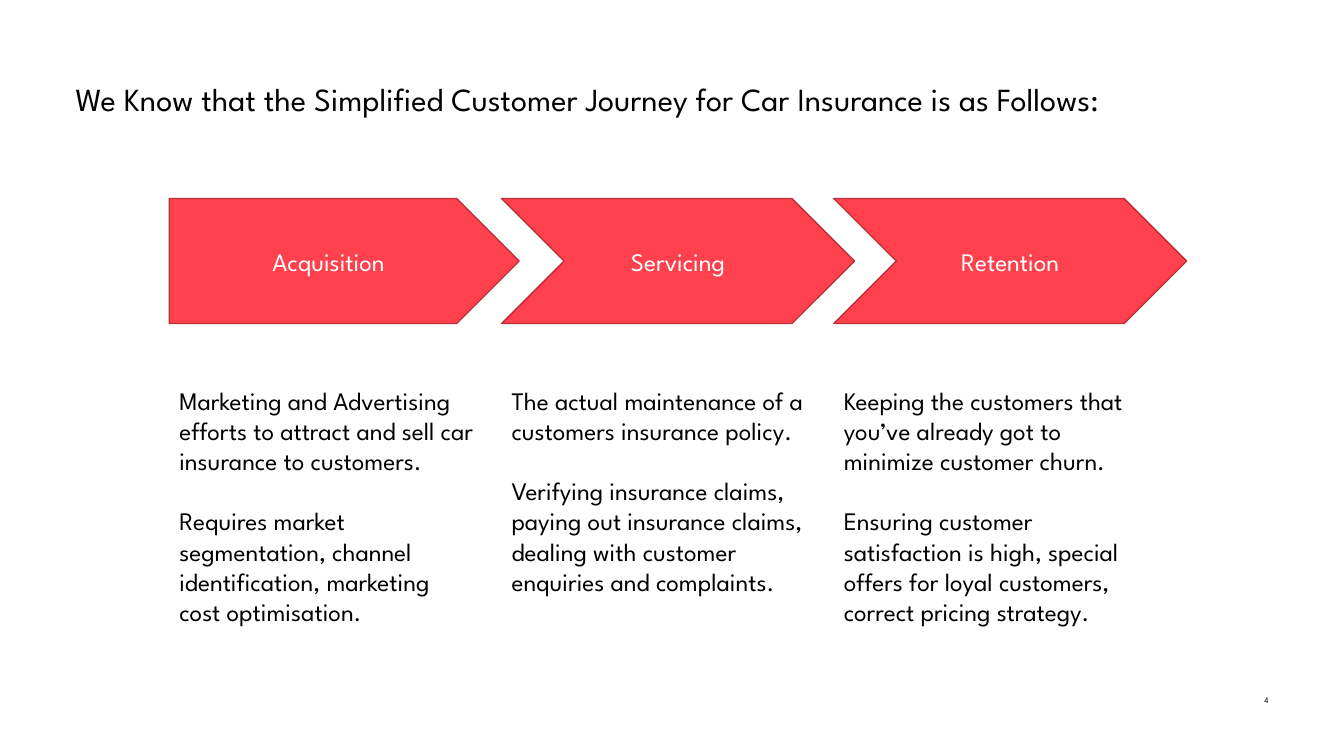
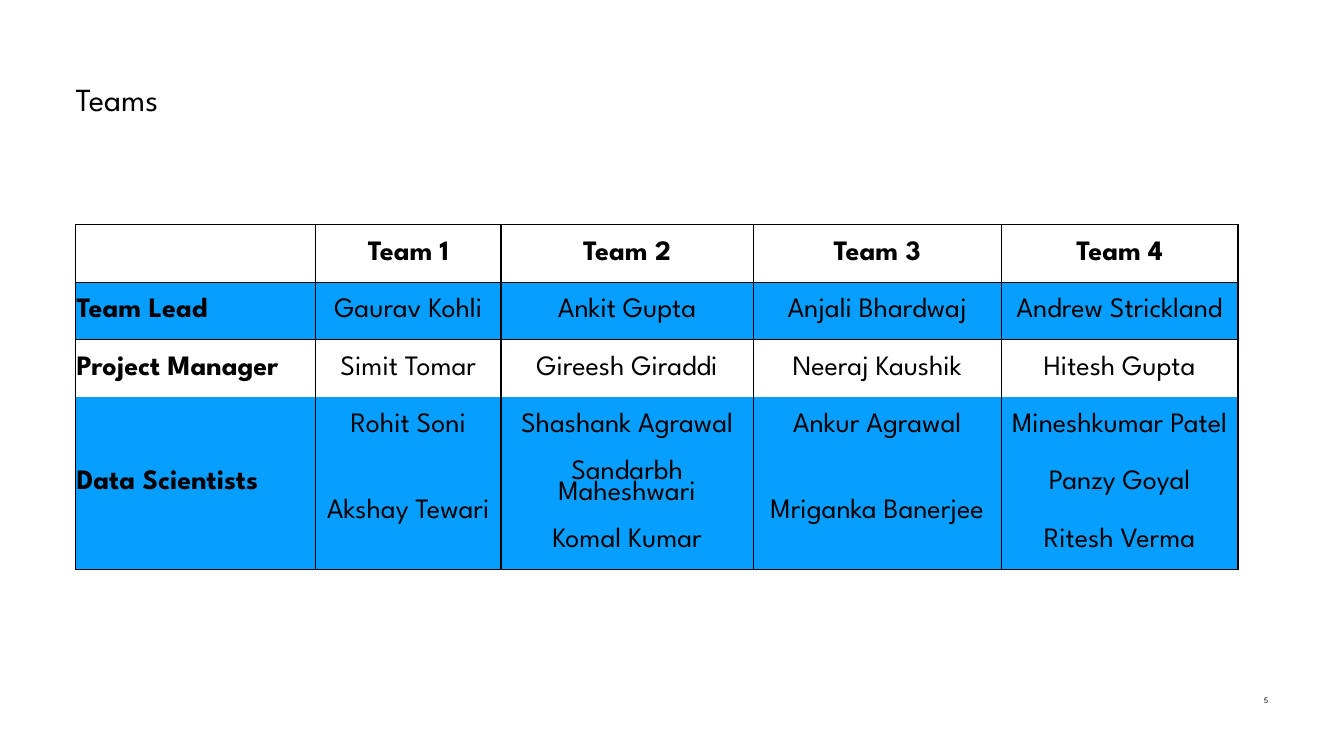
import pptx
import pptx.dml.color
import pptx.enum.shapes
import pptx.enum.text
import pptx.oxml
import pptx.oxml.ns
import pptx.util
from pptx.util import Inches

FONT = "League Spartan"
BLACK, WHITE = "000000", "FFFFFF"
RED, DARK_RED, BLUE = "FE414D", "BC3039", "079FFF"
LEFT = pptx.enum.text.PP_ALIGN.LEFT
CENTER = pptx.enum.text.PP_ALIGN.CENTER
RIGHT = pptx.enum.text.PP_ALIGN.RIGHT
MIDDLE = pptx.enum.text.MSO_ANCHOR.MIDDLE
HOME_PLATE = pptx.enum.shapes.MSO_SHAPE.PENTAGON
CHEVRON = pptx.enum.shapes.MSO_SHAPE.CHEVRON

STEP_LEFT, STEP_PITCH = 1.68, 3.295
STEPS = [
    ("Acquisition", HOME_PLATE, 3.47, [
        "Marketing and Advertising efforts to attract and sell car insurance to customers.",
        "Requires market segmentation, channel identification, marketing cost optimisation."]),
    ("Servicing", CHEVRON, 3.5, [
        "The actual maintenance of a customers insurance policy.",
        "Verifying insurance claims, paying out insurance claims, "
        "dealing with customer enquiries and complaints."]),
    ("Retention", CHEVRON, 3.5, [
        "Keeping the customers that you’ve already got to minimize customer churn.",
        "Ensuring customer satisfaction is high, special offers for loyal customers, "
        "correct pricing strategy."]),
]

COLUMN_WIDTHS = [2.38, 1.84, 2.5, 2.46, 2.35]
ROW_HEIGHT = 0.57
TEAMS = [
    ["", "Team 1", "Team 2", "Team 3", "Team 4"],
    ["Team Lead", "Gaurav Kohli", "Ankit Gupta", "Anjali Bhardwaj", "Andrew Strickland"],
    ["Project Manager", "Simit Tomar", "Gireesh Giraddi", "Neeraj Kaushik", "Hitesh Gupta"],
    ["Data Scientists", "Rohit Soni", "Shashank Agrawal", "Ankur Agrawal", "Mineshkumar Patel"],
    ["", "Akshay Tewari", "Sandarbh Maheshwari", "Mriganka Banerjee", "Panzy Goyal"],
    ["", "", "Komal Kumar", "", "Ritesh Verma"],
]
BLUE_ROWS = {1, 3, 4, 5}
RULED_EDGES = {0, 1, 2, 3, 6} - {3}
ROW_SPANS = {(3, 0): 3, (4, 1): 2, (4, 3): 2}


def color(value):
    return pptx.dml.color.RGBColor.from_string(value)


def write(frame, texts, size, ink=BLACK, align=LEFT, bold=False, spacing=None, gap=0):
    """Fill a text frame, one paragraph per text, with gap points between them."""
    for index, text in enumerate(texts):
        para = frame.add_paragraph() if index else frame.paragraphs[0]
        para.text = text
        para.alignment = align
        if spacing:
            para.line_spacing = spacing
        if index:
            para.space_before = pptx.util.Pt(gap)
        para.font.name = FONT
        para.font.size = pptx.util.Pt(size)
        para.font.bold = bold
        para.font.color.rgb = color(ink)


def add_text(page, place, texts, size, inset=True, anchor=None, **style):
    box = page.shapes.add_textbox(*map(Inches, place))
    frame = box.text_frame
    frame.word_wrap = True
    if anchor is not None:
        frame.vertical_anchor = anchor
    if not inset:
        frame.margin_left = frame.margin_right = 0
        frame.margin_top = frame.margin_bottom = 0
    write(frame, texts, size, **style)


def add_page(deck, title, number):
    page = deck.slides.add_slide(deck.slide_layouts[6])
    add_text(page, (0.75, 0.75, 11.83, 0.82), [title], 23, inset=False, spacing=1.1)
    add_text(page, (12.28, 6.9, 0.3, 0.1), [str(number)], 6, inset=False,
             anchor=MIDDLE, align=RIGHT)
    return page


def add_arrow(page, kind, place, label):
    arrow = page.shapes.add_shape(kind, *map(Inches, place))
    arrow.shadow.inherit = False
    arrow.fill.solid()
    arrow.fill.fore_color.rgb = color(RED)
    arrow.line.color.rgb = color(DARK_RED)
    arrow.line.width = pptx.util.Pt(1)
    arrow.text_frame.vertical_anchor = MIDDLE
    write(arrow.text_frame, [label], 18, ink=WHITE, align=CENTER)


def set_borders(cell, top, bottom):
    """Rule both sides of a cell, and its top and bottom where asked."""
    for side, ruled in (("L", True), ("R", True), ("T", top), ("B", bottom)):
        paint = f'<a:solidFill><a:srgbClr val="{BLACK}"/></a:solidFill>' if ruled else "<a:noFill/>"
        cell._tc.get_or_add_tcPr().append(pptx.oxml.parse_xml(
            f'<a:ln{side} {pptx.oxml.ns.nsdecls("a")} w="12700">{paint}</a:ln{side}>'))


def style_cell(cell, row, column):
    last_edge = row + ROW_SPANS.get((row, column), 1)
    set_borders(cell, row in RULED_EDGES, last_edge in RULED_EDGES)
    if row in BLUE_ROWS:
        cell.fill.solid()
        cell.fill.fore_color.rgb = color(BLUE)
    else:
        cell.fill.background()
    cell.vertical_anchor = MIDDLE
    cell.margin_left = cell.margin_right = cell.margin_top = Inches(0.01)
    cell.margin_bottom = 0
    write(cell.text_frame, [TEAMS[row][column]], 20, align=CENTER if column else LEFT,
          bold=row == 0 or column == 0, spacing=0.8)


def add_team_table(page):
    rows, columns = len(TEAMS), len(COLUMN_WIDTHS)
    table = page.shapes.add_table(
        rows, columns, Inches(0.75), Inches(2.23),
        Inches(sum(COLUMN_WIDTHS)), Inches(rows * ROW_HEIGHT)).table
    table.first_row = table.horz_banding = False
    for column, width in zip(table.columns, COLUMN_WIDTHS):
        column.width = Inches(width)
    for row in table.rows:
        row.height = Inches(ROW_HEIGHT)
    for row in range(rows):
        for column in range(columns):
            style_cell(table.cell(row, column), row, column)
    for (row, column), span in ROW_SPANS.items():
        table.cell(row, column).merge(table.cell(row + span - 1, column))


def add_journey(page):
    for index, (label, kind, width, texts) in enumerate(STEPS):
        left = STEP_LEFT + index * STEP_PITCH
        add_arrow(page, kind, (left, 1.97, width, 1.24), label)
        add_text(page, (left, 3.77, 3.15, 2.83), texts, 18, gap=21.5)


def main():
    deck = pptx.Presentation()
    deck.slide_width, deck.slide_height = Inches(13.33), Inches(7.5)
    add_journey(add_page(
        deck, "We Know that the Simplified Customer Journey for Car Insurance is as Follows:", 4))
    add_team_table(add_page(deck, "Teams", 5))
    deck.save("out.pptx")


if __name__ == "__main__":
    main()
